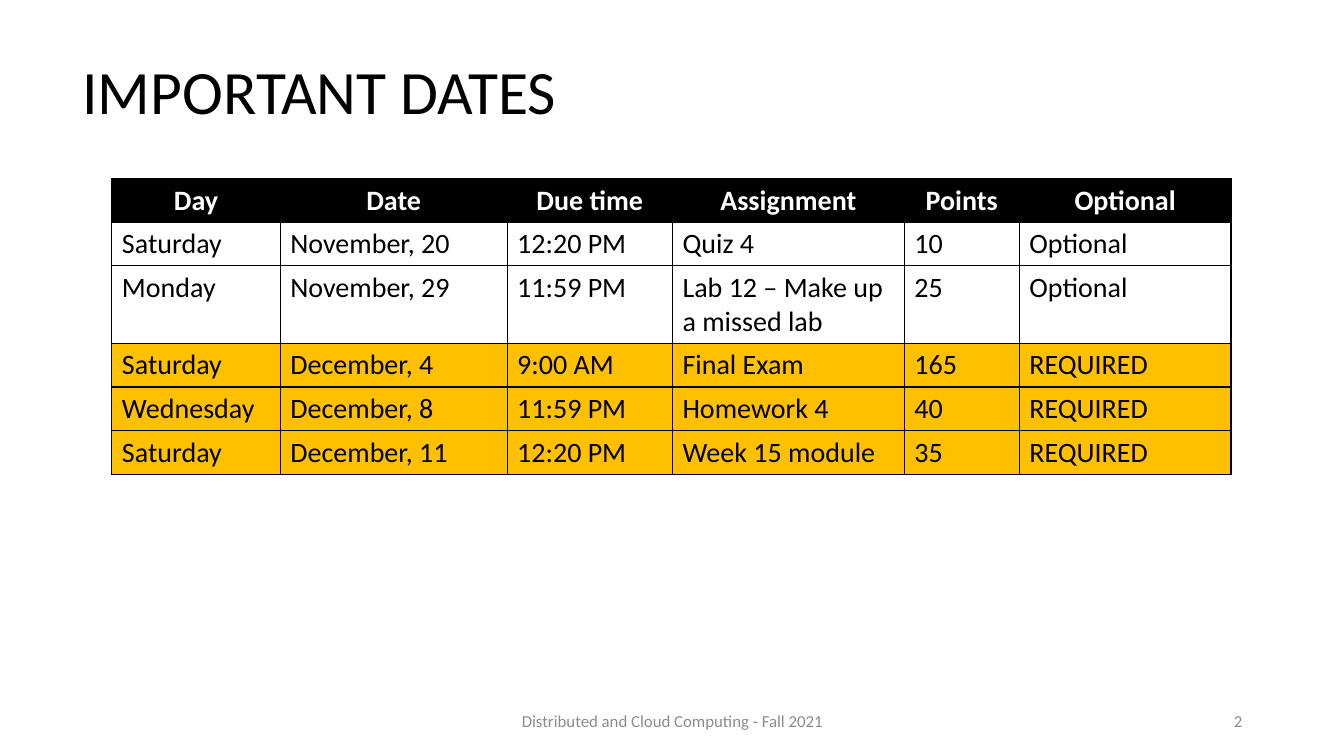
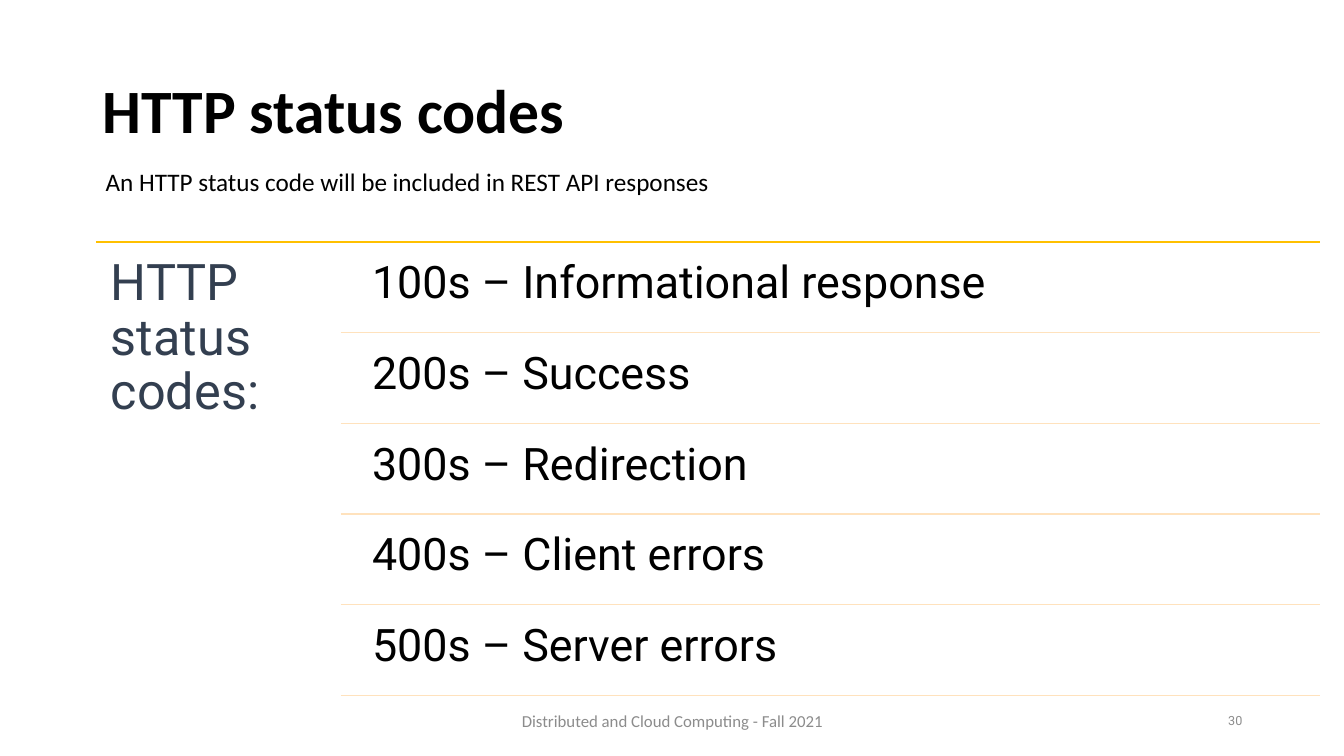
"""Build two course slides: a table of due dates and a list of HTTP status codes."""
from lxml import etree
from pptx import Presentation
from pptx.dml.color import RGBColor
from pptx.enum.shapes import MSO_CONNECTOR
from pptx.enum.text import MSO_ANCHOR, PP_ALIGN
from pptx.oxml import parse_xml
from pptx.oxml.ns import nsdecls, qn
from pptx.util import Pt

PX = 9144
TOP, MID = MSO_ANCHOR.TOP, MSO_ANCHOR.MIDDLE
LEFT, CENTER, RIGHT = PP_ALIGN.LEFT, PP_ALIGN.CENTER, PP_ALIGN.RIGHT
LINE = MSO_CONNECTOR.STRAIGHT
rgb = RGBColor.from_string
BLACK, WHITE, GOLD, PEACH = "000000", "FFFFFF", "FFC000", "FFE2BD"
GRAY, NAVY = "8C8C8C", "333F50"

TITLE = dict(size=44, anchor=MID, space=0.9)
FOOT = dict(size=12, color=GRAY, anchor=MID)
ITEM = dict(size=32, name="Roboto", space=0.9, inset=(13, 13))
LABEL = dict(size=36, name="Roboto", color=NAVY, space=0.9, inset=(15, 15))


def style(frame, text, size, name="Calibri", color=BLACK, bold=False,
          align=LEFT, anchor=TOP, space=None, inset=(10, 5)):
    """Fill a text frame and format its paragraph."""
    across, down = inset
    form = dict(word_wrap=True, vertical_anchor=anchor,
                margin_left=across * PX, margin_right=across * PX,
                margin_top=down * PX, margin_bottom=down * PX)
    for key, value in form.items():
        setattr(frame, key, value)
    par = frame.paragraphs[0]
    par.alignment, par.line_spacing = align, space
    run = par.add_run()
    run.text = text
    for key, value in dict(size=Pt(size), name=name, bold=bold).items():
        setattr(run.font, key, value)
    run.font.color.rgb = rgb(color)


def put(slide, box, text, **form):
    """Add a text box at a pixel box."""
    shape = slide.shapes.add_textbox(*(n * PX for n in box))
    style(shape.text_frame, text, **form)


deck = Presentation()
deck.slide_width, deck.slide_height = 1333 * PX, 750 * PX
blank = deck.slide_layouts[6]
dates, codes = [deck.slides.add_slide(blank) for _ in range(2)]

heads = [
    (dates, (72, 21, 1150, 145), "IMPORTANT DATES", False, "2", {}),
    (codes, (92, 40, 1150, 145), "HTTP status codes", True, "30",
     dict(size=9, name="Roboto")),
]
for slide, box, title, bold, page, form in heads:
    put(slide, box, title, bold=bold, **TITLE)
    put(slide, (442, 695, 450, 40), "Distributed and Cloud Computing - Fall 2021",
        align=CENTER, **FOOT)
    put(slide, (942, 695, 300, 40), page, align=RIGHT, **{**FOOT, **form})

rows = [
    ("Day", "Date", "Due time", "Assignment", "Points", "Optional"),
    ("Saturday", "November, 20", "12:20 PM", "Quiz 4", "10", "Optional"),
    ("Monday", "November, 29", "11:59 PM", "Lab 12 – Make up a missed lab", "25",
     "Optional"),
    ("Saturday", "December, 4", "9:00 AM", "Final Exam", "165", "REQUIRED"),
    ("Wednesday", "December, 8", "11:59 PM", "Homework 4", "40", "REQUIRED"),
    ("Saturday", "December, 11", "12:20 PM", "Week 15 module", "35", "REQUIRED"),
]
widths = [167, 225, 164, 230, 114, 210]
high = 41
table = dates.shapes.add_table(
    len(rows), len(widths), 111 * PX, 177 * PX,
    sum(widths) * PX, high * len(rows) * PX).table
for col, wide in zip(table.columns, widths):
    col.width = wide * PX
for r, row in enumerate(rows):
    table.rows[r].height = high * PX
    head = r == 0
    fill = BLACK if head else GOLD if row[-1] == "REQUIRED" else WHITE
    for c, text in enumerate(row):
        cell = table.cell(r, c)
        style(cell.text_frame, text, 20, color=WHITE if head else BLACK,
              bold=head, align=CENTER if head else LEFT)
        props = cell._tc.get_or_add_tcPr()
        for side in "LRTB":
            props.append(parse_xml(
                f'<a:ln{side} w="12700" {nsdecls("a")}><a:solidFill>'
                f'<a:srgbClr val="{BLACK}"/></a:solidFill></a:ln{side}>'))
        cell.fill.solid()
        cell.fill.fore_color.rgb = rgb(fill)

put(codes, (95, 160, 667, 40),
    "An HTTP status code will be included in REST API responses", size=18)
put(codes, (95, 240, 243, 455), "HTTP status codes:", **LABEL)
items = ["Informational response", "Success", "Redirection",
         "Client errors", "Server errors"]
first, step, end = 240, 90, 1309
rules = [(95, first, GOLD)]
for i, item in enumerate(items):
    top = first + i * step
    put(codes, (356, top + 5, 952, 86), f"{i + 1}00s – {item}", **ITEM)
    rules.append((338, top + step, PEACH))
for left, y, color in rules:
    rule = codes.shapes.add_connector(LINE, left * PX, y * PX, end * PX, y * PX)
    rule.line.width = Pt(1)
    rule.line.color.rgb = rgb(color)
    etree.SubElement(rule._element.spPr, qn("a:effectLst"))

deck.save("out.pptx")
